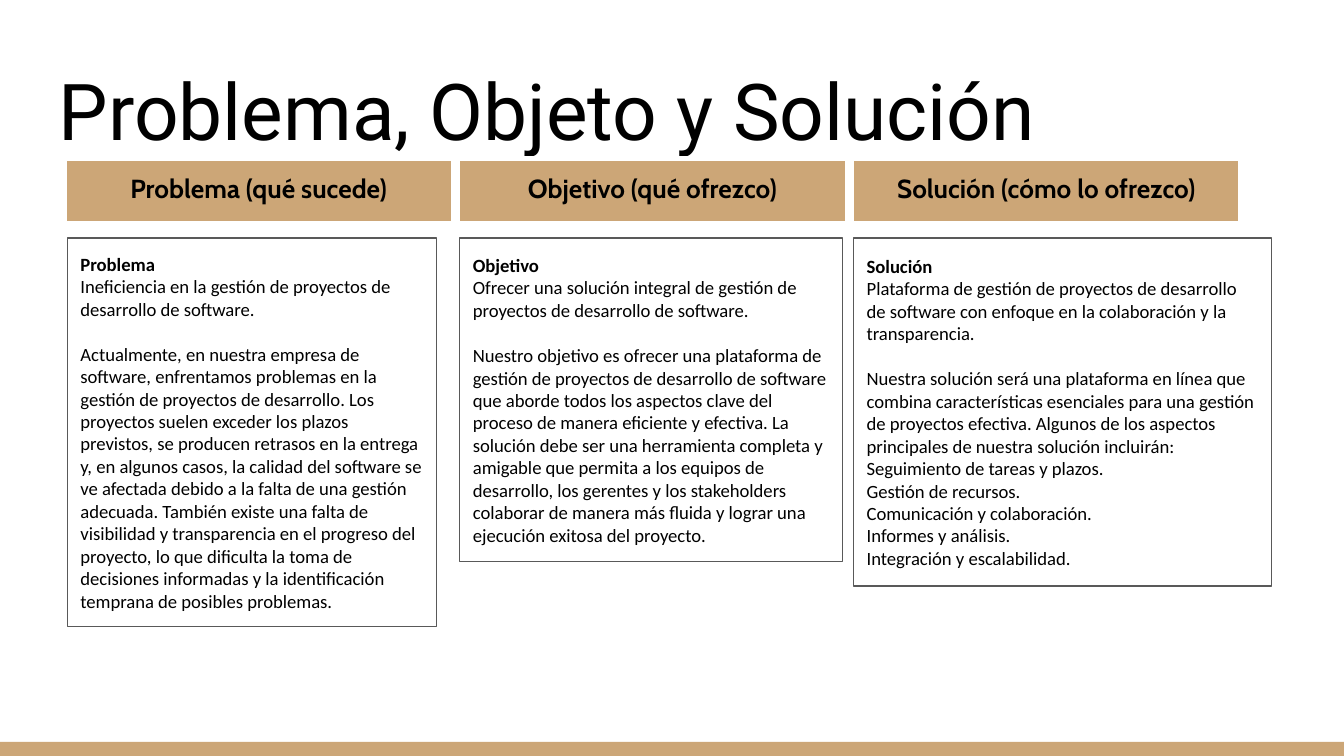
"""Build the problem, objective and solution slide."""
import pptx
import pptx.dml.color
import pptx.enum.shapes
import pptx.enum.text
import pptx.util

Inches = pptx.util.Inches
Pt = pptx.util.Pt
RGBColor = pptx.dml.color.RGBColor
Align = pptx.enum.text.PP_ALIGN
Anchor = pptx.enum.text.MSO_ANCHOR

TAN = RGBColor(0xCC, 0xA6, 0x77)
WHITE = RGBColor(0xFF, 0xFF, 0xFF)
GRAY = RGBColor(0x59, 0x59, 0x59)
BLACK = RGBColor(0, 0, 0)

TITLE = "Problema, Objeto y Solución"
COLUMNS = [
    {
        "header": "Problema (qué sucede)",
        "heading": "Problema",
        "summary": "Ineficiencia en la gestión de proyectos de desarrollo de software.",
        "details": [
            "Actualmente, en nuestra empresa de software, enfrentamos problemas en la "
            "gestión de proyectos de desarrollo. Los proyectos suelen exceder los plazos "
            "previstos, se producen retrasos en la entrega y, en algunos casos, la calidad "
            "del software se ve afectada debido a la falta de una gestión adecuada. También "
            "existe una falta de visibilidad y transparencia en el progreso del proyecto, "
            "lo que dificulta la toma de decisiones informadas y la identificación temprana "
            "de posibles problemas.",
        ],
        "body": (0.5, 2.75, 2.89),
    },
    {
        "header": "Objetivo (qué ofrezco)",
        "heading": "Objetivo",
        "summary": "Ofrecer una solución integral de gestión de proyectos de desarrollo de software.",
        "details": [
            "Nuestro objetivo es ofrecer una plataforma de gestión de proyectos de "
            "desarrollo de software que aborde todos los aspectos clave del proceso de "
            "manera eficiente y efectiva. La solución debe ser una herramienta completa y "
            "amigable que permita a los equipos de desarrollo, los gerentes y los "
            "stakeholders colaborar de manera más fluida y lograr una ejecución exitosa "
            "del proyecto.",
        ],
        "body": (3.42, 2.85, 2.41),
    },
    {
        "header": "Solución (cómo lo ofrezco)",
        "heading": "Solución",
        "summary": "Plataforma de gestión de proyectos de desarrollo de software con enfoque "
                   "en la colaboración y la transparencia.",
        "details": [
            "Nuestra solución será una plataforma en línea que combina características "
            "esenciales para una gestión de proyectos efectiva. Algunos de los aspectos "
            "principales de nuestra solución incluirán:",
            "Seguimiento de tareas y plazos.",
            "Gestión de recursos.",
            "Comunicación y colaboración.",
            "Informes y análisis.",
            "Integración y escalabilidad.",
        ],
        "body": (6.35, 3.11, 2.59),
    },
]
HEADER_LEFT, HEADER_TOP = 0.48, 1.18
HEADER_WIDTH, HEADER_HEIGHT, HEADER_GAP = 2.89, 0.48, 0.04
BODY_TOP = 1.77
DETAILS_GAP = 12.2


def add_box(page, left, top, width, height, fill=None, line=None, line_width=0.75):
    box = page.shapes.add_shape(
        pptx.enum.shapes.MSO_SHAPE.RECTANGLE,
        Inches(left), Inches(top), Inches(width), Inches(height))
    box.shadow.inherit = False
    if fill is None:
        box.fill.background()
    else:
        box.fill.solid()
        box.fill.fore_color.rgb = fill
    if line is None:
        box.line.fill.background()
    else:
        box.line.color.rgb = line
        box.line.width = Pt(line_width)
    return box


def write(box, lines, font, size, anchor, align=Align.LEFT):
    frame = box.text_frame
    frame.word_wrap = True
    frame.vertical_anchor = anchor
    frame.margin_left = frame.margin_right = Inches(0.1)
    frame.margin_top = frame.margin_bottom = Inches(0.1)
    for index, (text, bold, gap) in enumerate(lines):
        para = frame.add_paragraph() if index else frame.paragraphs[0]
        para.alignment = align
        para.space_before = Pt(gap)
        span = para.add_run()
        span.text = text
        span.font.name = font
        span.font.size = Pt(size)
        span.font.bold = bold
        span.font.color.rgb = BLACK


def main():
    deck = pptx.Presentation()
    deck.slide_width = Inches(10)
    deck.slide_height = deck.slide_width * 9 // 16
    page = deck.slides.add_slide(deck.slide_layouts[6])
    page.background.fill.solid()
    page.background.fill.fore_color.rgb = WHITE

    add_box(page, 0, 5.52, 10, 0.11, fill=TAN)
    title = page.shapes.add_textbox(Inches(0.34), Inches(0.35), Inches(9.32), Inches(0.91))
    write(title, [(TITLE, False, 0)], "Roboto", 42, Anchor.BOTTOM)

    for index, column in enumerate(COLUMNS):
        left = HEADER_LEFT + index * (HEADER_WIDTH + HEADER_GAP)
        header = add_box(page, left, HEADER_TOP, HEADER_WIDTH, HEADER_HEIGHT,
                         TAN, WHITE, 2.25)
        write(header, [(column["header"], True, 0)], "Cabin", 14, Anchor.TOP, Align.CENTER)

    for column in COLUMNS:
        left, width, height = column["body"]
        lines = [(column["heading"], True, 0), (column["summary"], False, 0)]
        lines += [(text, False, 0 if number else DETAILS_GAP)
                  for number, text in enumerate(column["details"])]
        body = add_box(page, left, BODY_TOP, width, height, line=GRAY)
        write(body, lines, "Calibri", 10, Anchor.MIDDLE)

    deck.save("out.pptx")


if __name__ == "__main__":
    main()
